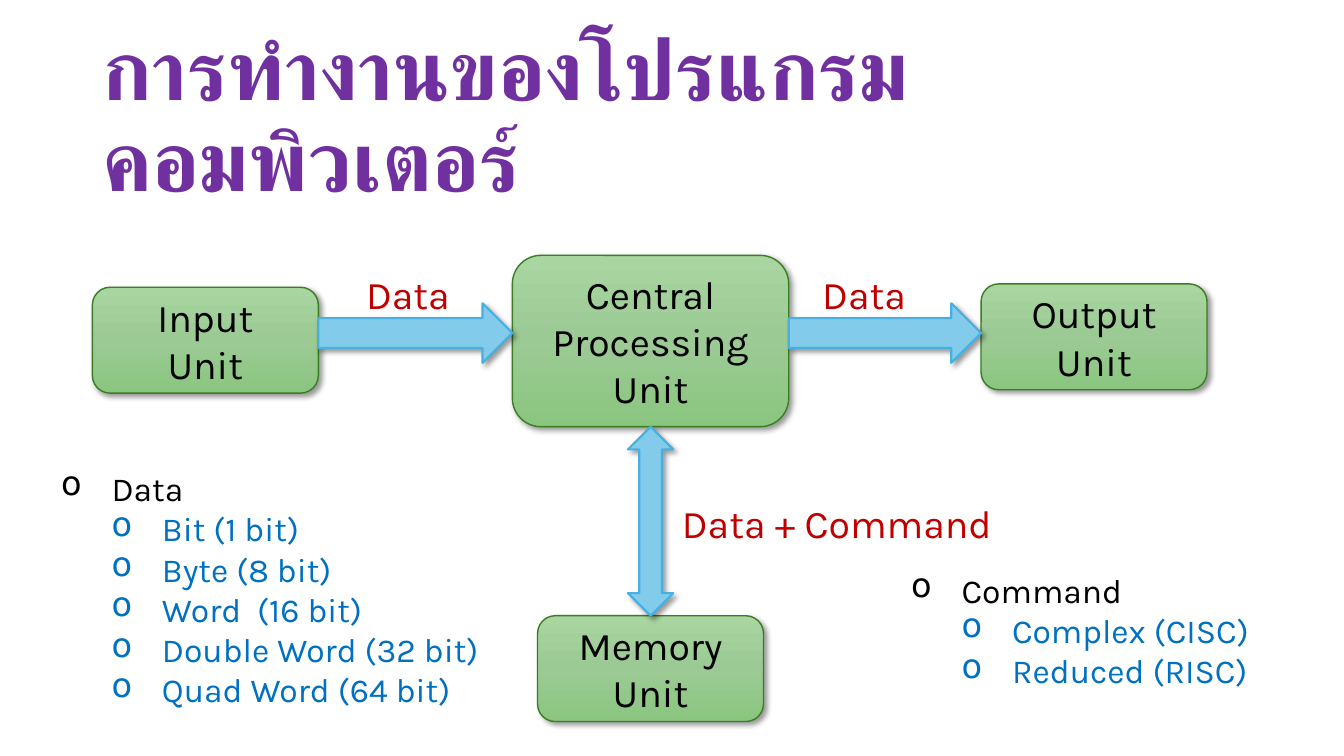
from copy import deepcopy

from lxml import etree
from pptx import Presentation
from pptx.dml.color import RGBColor
from pptx.enum.lang import MSO_LANGUAGE_ID
from pptx.enum.shapes import MSO_SHAPE
from pptx.enum.text import MSO_ANCHOR, MSO_AUTO_SIZE, PP_ALIGN
from pptx.oxml.ns import qn
from pptx.util import Inches, Pt

ROUND = MSO_SHAPE.ROUNDED_RECTANGLE
RIGHT = MSO_SHAPE.RIGHT_ARROW
UPDOWN = MSO_SHAPE.UP_DOWN_ARROW
MIDDLE = MSO_ANCHOR.MIDDLE
GROW = MSO_AUTO_SIZE.SHAPE_TO_FIT_TEXT
CENTER = PP_ALIGN.CENTER
THAI = MSO_LANGUAGE_ID.THAI

BLACK = RGBColor(0x00, 0x00, 0x00)
PURPLE = RGBColor(0x70, 0x30, 0xA0)
RED = RGBColor(0xC0, 0x00, 0x00)
BLUE = RGBColor(0x00, 0x70, 0xC0)
FOREST = RGBColor(0x3B, 0x7D, 0x23)
SKY = RGBColor(0x83, 0xCB, 0xEB)
AZURE = RGBColor(0x46, 0xB1, 0xE1)
GREENS = (RGBColor(0xA8, 0xD5, 0xA0), RGBColor(0x9C, 0xCA, 0x94),
          RGBColor(0x8A, 0xC6, 0x80))

COLS, ROWS = 160, 90
WIDE, HIGH = Inches(13.33), Inches(7.5)


class Deck:
    """Draw styled elements on a slide laid out in 160 columns and 90 rows."""

    def __init__(self):
        self.show = Presentation()
        self.show.slide_width, self.show.slide_height = WIDE, HIGH
        self.slide = self.show.slides.add_slide(self.show.slide_layouts[6])
        self.font = "Karla"

    def place(self, area):
        x, y, w, h = area
        return (round(x * WIDE / COLS), round(y * HIGH / ROWS),
                round(w * WIDE / COLS), round(h * HIGH / ROWS))

    def add_text(self, para, text, size, color):
        run = para.add_run()
        run.text = text
        run.font.name = self.font
        run.font.size = Pt(size)
        run.font.color.rgb = color
        return run

    def lines(self, frame, texts):
        for i, text in enumerate(texts):
            para = frame.add_paragraph() if i else frame.paragraphs[0]
            yield i, para, text

    def shape(self, kind, area, edge, width):
        item = self.slide.shapes.add_shape(kind, *self.place(area))
        item.line.color.rgb = edge
        item.line.width = Pt(width)
        item.shadow.inherit = False
        effects = item.element.spPr.find(qn("a:effectLst"))
        shade = etree.SubElement(effects, qn("a:outerShdw"), blurRad=str(Pt(4)),
                                 dist=str(Pt(3)), dir="2700000", algn="tl",
                                 rotWithShape="0")
        tint = etree.SubElement(shade, qn("a:srgbClr"), val="000000")
        etree.SubElement(tint, qn("a:alpha"), val="40000")
        return item

    def unit(self, area, texts):
        item = self.shape(ROUND, area, FOREST, 1)
        item.fill.gradient()
        item.fill.gradient_angle = 270
        stops = item.element.spPr.find(".//" + qn("a:gsLst"))
        stops.insert(1, deepcopy(stops[0]))
        for i, stop in enumerate(item.fill.gradient_stops):
            stop.color.rgb = GREENS[i]
            stop.position = i / 2
        frame = item.text_frame
        frame.word_wrap = True
        frame.vertical_anchor = MIDDLE
        for _, para, text in self.lines(frame, texts):
            para.alignment = CENTER
            self.add_text(para, text, 28, BLACK)

    def arrow(self, kind, area):
        item = self.shape(kind, area, AZURE, 1.5)
        item.fill.solid()
        item.fill.fore_color.rgb = SKY

    def box(self, area):
        frame = self.slide.shapes.add_textbox(*self.place(area)).text_frame
        frame.word_wrap = True
        return frame

    def title(self, area, text):
        frame = self.box(area)
        frame.vertical_anchor = MIDDLE
        para = frame.paragraphs[0]
        para.line_spacing = 0.9
        run = self.add_text(para, text, 60, PURPLE)
        run.font.name = "Arial"
        run.font.bold = True
        run.font.language_id = THAI
        etree.SubElement(run.font._element, qn("a:cs"), typeface="Arial")

    def label(self, area, text):
        frame = self.box(area)
        frame.auto_size = GROW
        self.add_text(frame.paragraphs[0], text, 28, RED)

    def bullets(self, area, texts):
        frame = self.box(area)
        frame.auto_size = GROW
        for i, para, text in self.lines(frame, texts):
            level = min(i, 1)
            para.level = level
            props = para._p.get_or_add_pPr()
            props.set("marL", str(Inches(0.5 * (level + 1))))
            props.set("indent", str(Inches(-0.5)))
            etree.SubElement(props, qn("a:buChar"), char="o")
            self.add_text(para, text, 24, BLUE if level else BLACK)


def main():
    deck = Deck()
    deck.title((11, 5.4, 138, 17.4), "การทำงานของโปรแกรมคอมพิวเตอร์")

    w, h = 26.9, 12.6
    left, right, low = 11, 116.8, 73.3
    core, top, span, tall = 61, 30.4, 32.9, 20.4
    mid = core + span / 2
    deck.unit((left, 34.2, w, h), ("Input", "Unit"))
    deck.unit((right, 33.8, w, h), ("Output", "Unit"))
    deck.unit((mid - w / 2, low, w, h), ("Memory", "Unit"))
    deck.unit((core, top, span, tall), ("Central Processing", "Unit"))

    for start, end in ((left + w, core), (core + span, right)):
        deck.arrow(RIGHT, (start, 36.1, end - start, 7.1))
    foot = top + tall
    deck.arrow(UPDOWN, (mid - 2.7, foot, 5.4, low - foot))

    for x in (42.4, 96.7):
        deck.label((x, 31.6, 18.1, 7.1), "Data")
    deck.label((80, 58.9, 41.5, 6.8), "Data + Command")

    deck.bullets((6.1, 55.1, 54.8, 30.2),
                 ("Data", "Bit (1 bit)", "Byte (8 bit)", "Word  (16 bit)",
                  "Double Word (32 bit)", "Quad Word (64 bit)"))
    deck.bullets((107.3, 67.2, 54.8, 15.7),
                 ("Command", "Complex (CISC)", "Reduced (RISC)"))
    deck.show.save("out.pptx")


if __name__ == "__main__":
    main()
